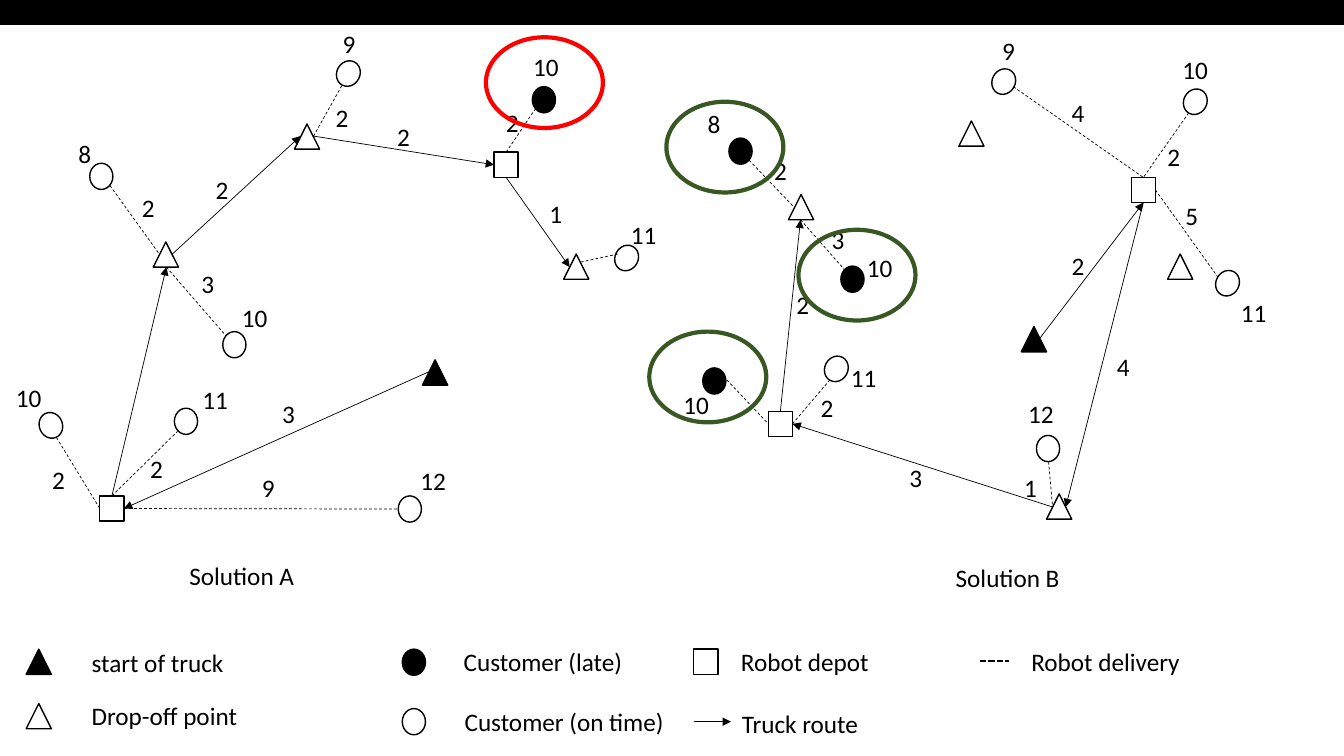
from lxml.etree import SubElement
from pptx import Presentation
from pptx.dml.color import RGBColor
from pptx.enum.dml import MSO_LINE
from pptx.enum.shapes import MSO_CONNECTOR, MSO_SHAPE
from pptx.enum.text import MSO_AUTO_SIZE
from pptx.oxml.ns import qn
from pptx.util import Inches, Pt

BLACK, WHITE, RED, GREEN = "000000", "FFFFFF", "FF0000", "385723"
TOP, LEFT, BOTTOM, RIGHT = range(4)
TILT = 28.5

DEPOTS = {"A west": (0.99, 4.92), "A east": (4.9, 1.51),
          "B east": (11.22, 1.76), "B west": (7.62, 4.08), "legend": (6.88, 6.44)}
TRUCK_STARTS = [(0.26, 6.44), (4.19, 3.57), (10.13, 3.24)]
DROP_OFFS = [(0.26, 6.98), (1.52, 2.4), (2.92, 1.23), (5.59, 2.52),
             (11.58, 2.52), (9.51, 1.2), (10.38, 4.9), (7.82, 1.93)]
LATE = [(3.99, 6.44), (5.28, 0.86), (6.97, 3.65), (7.23, 1.37), (8.34, 2.64)]
ON_TIME = [(3.99, 7.03, 0), (3.95, 4.92, 0), (3.34, 0.6, TILT), (0.89, 1.62, 0),
           (2.21, 3.29, 0), (0.39, 4.09, 336.7), (1.73, 4.05, 0), (6.1, 2.43, TILT),
           (9.84, 0.68, TILT), (11.74, 0.88, TILT), (12.06, 2.68, TILT),
           (8.18, 3.53, TILT), (10.28, 4.32, 0)]
RINGS = [(4.82, 0.37, RED), (6.61, 1.01, GREEN), (7.92, 2.28, GREEN), (6.44, 3.29, GREEN)]

TRUCK_ROUTES = [
    ((4.25, 3.69), ("A west", RIGHT)), (("A west", TOP), (1.65, 2.65)),
    ((1.71, 2.52), (2.98, 1.35)), ((3.11, 1.35), ("A east", LEFT)),
    (("A east", BOTTOM), (5.65, 2.65)),
    ((10.31, 3.36), ("B east", BOTTOM)), (("B east", BOTTOM), (10.57, 5.03)),
    ((10.44, 5.03), ("B west", RIGHT)), (("B west", TOP), (7.94, 2.18)),
    ((6.88, 7.16), (7.25, 7.16)),
]
DELIVERIES = [
    ((1.09, 1.84), (1.58, 2.52)), ((1.65, 2.65), (2.24, 3.33)),
    ((3.39, 0.85), (3.11, 1.35)), (("A east", TOP), (5.31, 1.08)),
    ((0.56, 4.34), ("A west", LEFT)), (("A west", TOP), (1.76, 4.28)),
    (("A west", RIGHT), (3.95, 5.05)), ((5.76, 2.6), (6.13, 2.52)),
    ((10.05, 0.86), ("B east", TOP)), ((11.79, 1.12), ("B east", TOP)),
    (("B east", RIGHT), (12.08, 2.75)), ((7.43, 1.59), (7.88, 2.06)),
    ((7.94, 2.18), (8.38, 2.68)), ((7.21, 3.77), ("B west", LEFT)),
    (("B west", RIGHT), (8.23, 3.77)), ((10.4, 4.58), (10.44, 5.03)),
]

CAPTIONS = [
    ("Solution A", 1.78, 5.51, 1.25), ("Solution B", 9.38, 5.53, 1.25),
    ("start of truck", 0.81, 6.37, 1.52), ("Drop-off point", 0.81, 6.9, 1.67),
    ("Customer (late)", 4.5, 6.36, 1.79), ("Customer (on time)", 4.51, 6.96, 2.2),
    ("Robot depot", 7.25, 6.36, 1.49), ("Truck route", 7.26, 6.98, 1.37),
    ("Robot delivery", 10.13, 6.36, 1.69),
]
DEADLINES = [
    (8, 0.68, 1.32), (10, 0.06, 3.74), (9, 3.3, 0.23), (10, 5.19, 0.46),
    (11, 6.16, 2.13), (10, 2.3, 2.95), (11, 1.91, 3.76), (12, 4.07, 4.57),
    (8, 6.92, 1.03), (10, 8.5, 2.45), (11, 8.34, 3.55), (10, 6.68, 3.81),
    (10, 11.63, 0.49), (9, 9.84, 0.3), (11, 12.21, 2.9), (12, 10.1, 3.9),
]
TRAVEL_TIMES = [
    (9, 2.5, 4.64), (3, 2.7, 3.9), (2, 1.39, 4.45), (2, 0.42, 4.56), (3, 1.9, 2.61),
    (2, 1.31, 1.86), (2, 2.04, 1.68), (2, 3.23, 0.97), (2, 3.84, 1.15),
    (2, 4.92, 1.02), (1, 5.35, 1.92), (2, 7.58, 1.49), (3, 8.15, 2.18),
    (5, 11.66, 1.94), (2, 11.48, 1.35), (4, 10.53, 0.92), (4, 10.98, 3.44),
    (2, 10.53, 2.43), (1, 10.06, 4.64), (3, 8.92, 4.54), (2, 8.04, 3.84),
    (2, 7.8, 2.82),
]


def color(value):
    return RGBColor.from_string(value)


def add_shape(s, kind, x, y, w, h, fill=None, line=BLACK, width=1, rotation=0):
    sp = s.shapes.add_shape(kind, Inches(x), Inches(y), Inches(w), Inches(h))
    sp.shadow.inherit = False
    sp.rotation = rotation
    if fill:
        sp.fill.solid()
        sp.fill.fore_color.rgb = color(fill)
    else:
        sp.fill.background()
    sp.line.color.rgb = color(line)
    sp.line.width = Pt(width)
    return sp


def add_triangle(s, x, y, fill):
    add_shape(s, MSO_SHAPE.ISOSCELES_TRIANGLE, x, y, 0.25, 0.25, fill)


def add_customer(s, x, y, fill, rotation=0):
    add_shape(s, MSO_SHAPE.OVAL, x, y, 0.23, 0.26, fill, rotation=rotation)


def add_link(s, depots, start, end, dash=None, arrow=False, width=0.5):
    points = [(0, 0) if p[0] in depots else p for p in (start, end)]
    cx = s.shapes.add_connector(MSO_CONNECTOR.STRAIGHT,
                                *(Inches(v) for p in points for v in p))
    for point, connect in ((start, cx.begin_connect), (end, cx.end_connect)):
        if point[0] in depots:
            connect(depots[point[0]], point[1])
    cx.line.color.rgb = color(BLACK)
    cx.line.width = Pt(width)
    if dash:
        cx.line.dash_style = dash
    if arrow:
        SubElement(cx.line._get_or_add_ln(), qn("a:tailEnd"), type="triangle")
    SubElement(cx._element.spPr, qn("a:effectLst"))


def add_label(s, text, x, y, w):
    tf = s.shapes.add_textbox(Inches(x), Inches(y), Inches(w), Inches(0.4)).text_frame
    tf.word_wrap = False
    tf.auto_size = MSO_AUTO_SIZE.SHAPE_TO_FIT_TEXT
    p = tf.paragraphs[0]
    p.text = text
    p.font.name = "Calibri"
    p.font.size = Pt(18)
    p.font.color.rgb = color(BLACK)


def main():
    prs = Presentation()
    prs.slide_width, prs.slide_height = Inches(13.33), Inches(7.5)
    s = prs.slides.add_slide(prs.slide_layouts[6])

    add_shape(s, MSO_SHAPE.RECTANGLE, 0, 0, 13.33, 0.24, BLACK)
    depots = {name: add_shape(s, MSO_SHAPE.RECTANGLE, x, y, 0.24, 0.25, WHITE)
              for name, (x, y) in DEPOTS.items()}
    for x, y in TRUCK_STARTS:
        add_triangle(s, x, y, BLACK)
    for x, y in DROP_OFFS:
        add_triangle(s, x, y, WHITE)
    for x, y in LATE:
        add_customer(s, x, y, BLACK)
    for x, y, rotation in ON_TIME:
        add_customer(s, x, y, WHITE, rotation)

    for start, end in TRUCK_ROUTES:
        add_link(s, depots, start, end, arrow=True)
    for start, end in DELIVERIES:
        add_link(s, depots, start, end, MSO_LINE.DASH)
    add_link(s, depots, (9.72, 6.56), (10.01, 6.56), MSO_LINE.SQUARE_DOT, width=1.5)

    for text, x, y, w in CAPTIONS:
        add_label(s, text, x, y, w)
    for number, x, y in DEADLINES + TRAVEL_TIMES:
        add_label(s, str(number), x, y, 0.33 if number < 10 else 0.46)
    for x, y, line in RINGS:
        add_shape(s, MSO_SHAPE.OVAL, x, y, 1.16, 0.9, line=line, width=3)

    prs.save("out.pptx")


if __name__ == "__main__":
    main()
